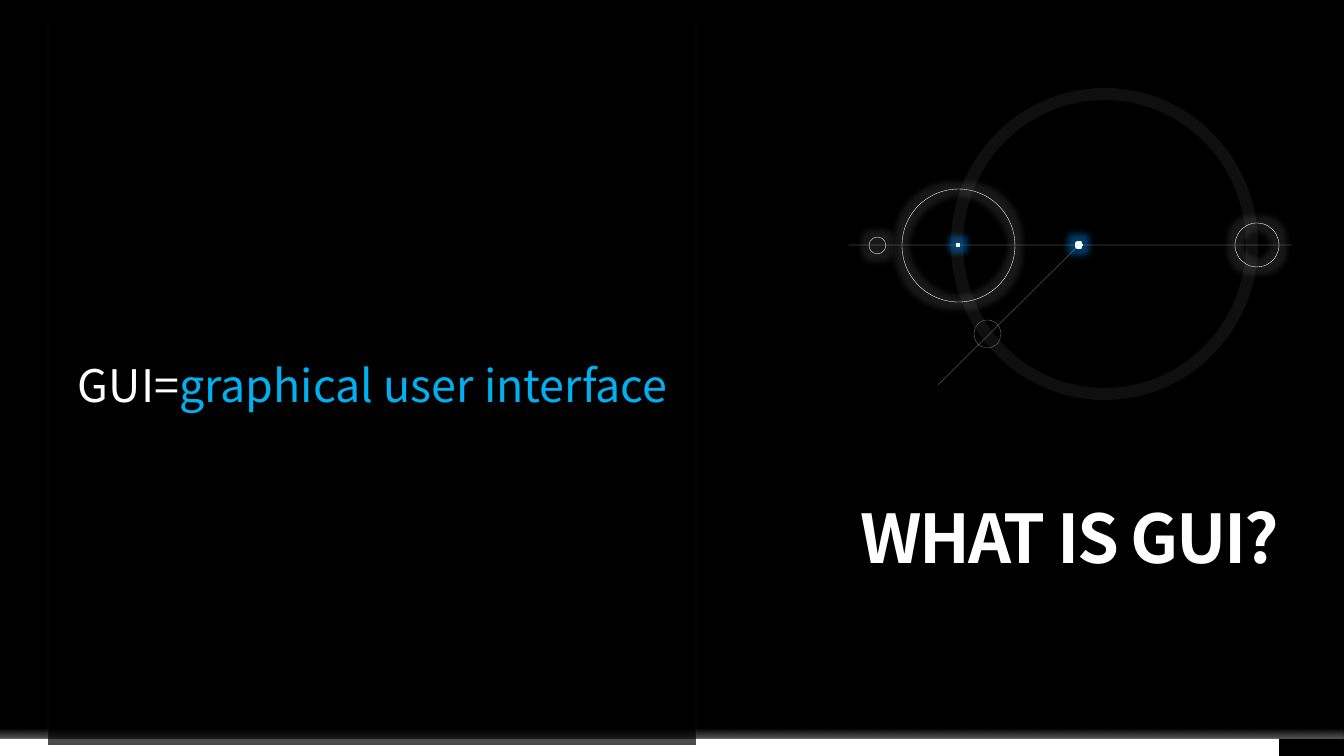
from pptx import Presentation
from pptx.dml.color import RGBColor
from pptx.enum.dml import MSO_LINE
from pptx.enum.shapes import MSO_CONNECTOR, MSO_SHAPE
from pptx.enum.text import MSO_ANCHOR, MSO_AUTO_SIZE, PP_ALIGN
from pptx.oxml import parse_xml
from pptx.oxml.ns import nsdecls, qn
from pptx.util import Pt

RECTANGLE, OVAL = MSO_SHAPE.RECTANGLE, MSO_SHAPE.OVAL
STRAIGHT = MSO_CONNECTOR.STRAIGHT
SYS_DASH = MSO_LINE.SQUARE_DOT
TOP, BOTTOM = MSO_ANCHOR.TOP, MSO_ANCHOR.BOTTOM
CENTER, RIGHT = PP_ALIGN.CENTER, PP_ALIGN.RIGHT

# Content
FONT = "Noto Sans CJK SC"
TITLE = [("WHAT IS GUI?", "FFFFFF")]
SUBTITLE = [("GUI=", "FFFFFF"), ("graphical user interface", "00B0F0")]
TITLE_BOX = (719, 498, 560, 80)
SUBTITLE_BOX = (39, 364, 668, 101)

# Lengths in px
WIDTH, HEIGHT = 1344, 756
FLOOR_BOX = (0, 739, 1279, 17)
FADE_BOX = (0, 722, 1344, 17)
PANEL_BOX = (48, 429, 648, 316)
PANEL_EDGES = [(x, 23, x, 739) for x in (696, 48)]

WHITE_GLOW = ("FFFFFF", 10)
BLUE_GLOW = ("0090FF", 40)
GLOW_RADIUS = 13
DOT_STOPS = [(0, "FFFFFF", 100), (65, "F7FFFF", 100), (70, "C1E4FF", 100)]
FADE_STOPS = [(40, "FFFFFF", 0), (100, "FFFFFF", 35)]

# Orbit drawing, from back to front: (kind, geometry)
ORBIT = [
    ("halo", (902, 189, 113, 113)),
    ("halo", (1235, 223, 44, 44)),
    ("dot", (1075, 241, 8, 8)),
    ("ring", (957, 94, 295, 300)),
    ("axis", (849, 245, 1292, 245)),
    ("dot", (956, 243, 4, 4)),
    ("node", (974, 320, 27, 28)),
    ("halo", (869, 237, 17, 17)),
    ("axis", (938, 385, 1079, 245)),
]
# Outline of each kind: colour, points, opacity
OUTLINES = {
    "halo": ("FFFFFF", 0.25, 100),
    "ring": ("FFFFFF", 8.75, 6),
    "node": ("808080", 0.25, 100),
}


def px(length):
    return round(length * 914400 / 100.8)


def rgb(value):
    return RGBColor.from_string(value)


def set_opacity(fill, percent):
    if percent < 100:
        color = fill._xPr.find(qn("a:solidFill"))[0]
        color.append(parse_xml(f'<a:alpha {nsdecls("a")} val="{percent * 1000}"/>'))


def paint(fill, color, opacity=100):
    fill.solid()
    fill.fore_color.rgb = rgb(color)
    set_opacity(fill, opacity)


def paint_gradient(shape, stops, direction):
    marks = "".join(
        f'<a:gs pos="{place * 1000}"><a:srgbClr val="{color}">'
        f'<a:alpha val="{opacity * 1000}"/></a:srgbClr></a:gs>'
        for place, color, opacity in stops)
    gradient = parse_xml(
        f'<a:gradFill {nsdecls("a")} rotWithShape="1"><a:gsLst>{marks}</a:gsLst>{direction}</a:gradFill>')
    shape.element.spPr.find(qn("a:prstGeom")).addnext(gradient)


def add_glow(shape, color, opacity):
    effects = shape.element.spPr.find(qn("a:effectLst"))
    effects.append(parse_xml(
        f'<a:glow {nsdecls("a")} rad="{px(GLOW_RADIUS)}"><a:srgbClr val="{color}">'
        f'<a:alpha val="{opacity * 1000}"/></a:srgbClr></a:glow>'))


def add_shape(shapes, kind, box):
    shape = shapes.add_shape(kind, *map(px, box))
    shape.shadow.inherit = False
    shape.line.fill.background()
    return shape


def add_line(shapes, ends, color, points, opacity):
    line = shapes.add_connector(STRAIGHT, *map(px, ends))
    line.line.width = Pt(points)
    paint(line.line.fill, color, opacity)
    line.element.spPr.append(parse_xml(f'<a:effectLst {nsdecls("a")}/>'))


def fill_placeholder(holder, box, spans, size, anchor, align, bold=False):
    holder.left, holder.top, holder.width, holder.height = map(px, box)
    frame = holder.text_frame
    frame.word_wrap = True
    frame.auto_size = MSO_AUTO_SIZE.NONE
    frame.vertical_anchor = anchor
    frame.margin_left = frame.margin_top = frame.margin_right = frame.margin_bottom = 0
    para = frame.paragraphs[0]
    para.alignment = align
    para.line_spacing = 0.9
    for text, color in spans:
        span = para.add_run()
        span.text = text
        span.font.name = FONT
        span.font.size = Pt(size)
        span.font.bold = bold
        span.font.color.rgb = rgb(color)
    # Bring the text in front of the backdrop
    holder.element.getparent().append(holder.element)
    return para


def add_orbit_part(shapes, kind, geometry):
    if kind == "axis":
        add_line(shapes, geometry, "E7E6E6", 0.5, 30)
        return
    part = add_shape(shapes, OVAL, geometry)
    if kind == "dot":
        paint_gradient(part, DOT_STOPS,
                       '<a:path path="circle"><a:fillToRect l="50000" t="50000" r="50000" b="50000"/></a:path>')
        add_glow(part, *BLUE_GLOW)
        return
    color, points, opacity = OUTLINES[kind]
    part.fill.background()
    part.line.width = Pt(points)
    paint(part.line.fill, color, opacity)
    if kind == "halo":
        add_glow(part, *WHITE_GLOW)
    if kind == "node":
        part.line.dash_style = SYS_DASH


def main():
    deck = Presentation()
    deck.slide_width, deck.slide_height = px(WIDTH), px(HEIGHT)
    page = deck.slides.add_slide(deck.slide_layouts[0])
    paint(page.background.fill, "000000")

    # Backdrop
    paint(add_shape(page.shapes, RECTANGLE, FLOOR_BOX).fill, "FFFFFF")
    fade = add_shape(page.shapes, RECTANGLE, FADE_BOX)
    paint_gradient(fade, FADE_STOPS, '<a:lin ang="5400000" scaled="0"/>')
    paint(add_shape(page.shapes, RECTANGLE, PANEL_BOX).fill, "000000", 70)
    for edge in PANEL_EDGES:
        add_line(page.shapes, edge, "F2F2F2", 0.25, 15)

    # Title and definition
    title = fill_placeholder(page.shapes.title, TITLE_BOX, TITLE, 48, BOTTOM, RIGHT, bold=True)
    title.runs[0].font._element.set("spc", "-150")
    subtitle = fill_placeholder(page.placeholders[1], SUBTITLE_BOX, SUBTITLE, 32, TOP, CENTER)
    subtitle.space_before = Pt(10)

    # Orbit drawing
    orbit = page.shapes.add_group_shape()
    for kind, geometry in ORBIT:
        add_orbit_part(orbit.shapes, kind, geometry)

    deck.save("out.pptx")


if __name__ == "__main__":
    main()
